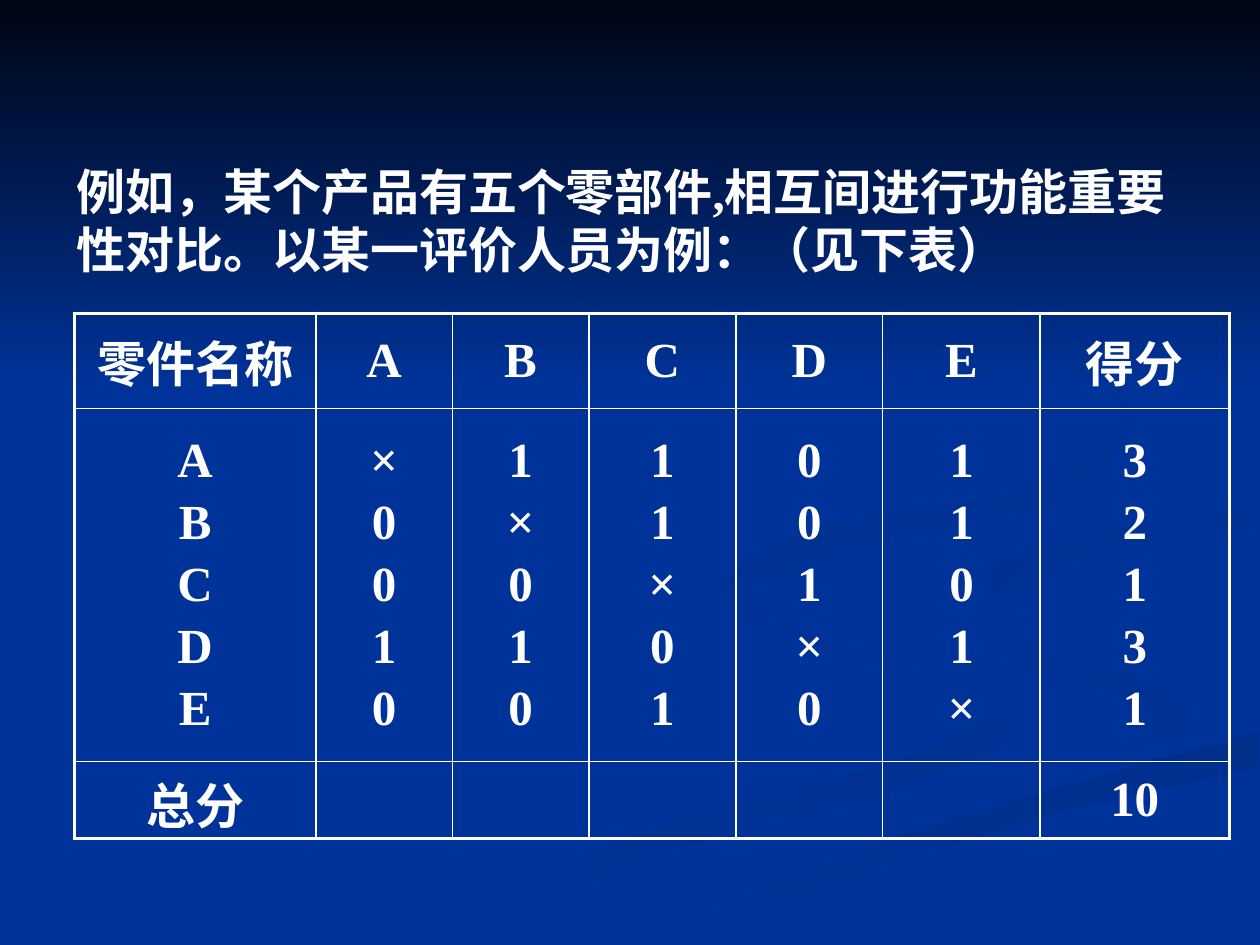
from lxml.etree import SubElement
from pptx import Presentation
from pptx.dml.color import RGBColor
from pptx.enum.shapes import MSO_SHAPE
from pptx.enum.text import MSO_ANCHOR, PP_ALIGN
from pptx.oxml.ns import qn
from pptx.util import Pt

COLORS = {
    "background": "003399",
    "night": "000514",
    "text": "FFFFFF",
    "border": "FFFFFF",
    "lower_band": "003193",
    "right_band": "002F8C",
    "short_band": "003091",
    "upper_band": "002F8E",
}
FONT = "Times New Roman"
OUTER, INNER = 2.25, 1

INTRO = "例如，某个产品有五个零部件,相互间进行功能重要性对比。以某一评价人员为例：（见下表）"
PARTS = "ABCDE"
SCORES = ["×1101", "0×101", "00×10", "110×1", "0010×"]
TOTALS = "32131"
COLUMN_WIDTHS = [138, 78, 78, 84, 84, 90, 108]
ROW_HEIGHTS = [54, 202, 44]

# Ribbons: two edges running the same way, first colour, last colour, angle
RIBBONS = [
    ([(414, 330), (442, 357), (526, 384), (576, 418), (519, 449), (406, 479), (260, 539)],
     [(410, 337), (440, 359), (524, 385), (566, 408), (492, 441), (388, 467), (216, 539)],
     "background", "lower_band", 0),
    ([(521, 334), (546, 359), (612, 377), (662, 394), (679, 410), (644, 436)],
     [(521, 334), (544, 364), (603, 386), (653, 405), (658, 424), (644, 436)],
     "background", "lower_band", 45),
    ([(362, 539), (454, 499), (550, 466), (719, 418)],
     [(411, 539), (500, 498), (591, 469), (719, 438)],
     "right_band", "background", 90),
    ([(719, 289), (601, 310), (562, 333), (595, 357)],
     [(719, 302), (632, 316), (580, 340), (595, 357)],
     "short_band", "background", 45),
    ([(549, 168), (622, 210), (644, 248), (594, 289), (492, 310), (427, 338), (448, 360)],
     [(549, 168), (616, 205), (640, 241), (589, 278), (467, 302), (415, 333), (448, 360)],
     "upper_band", "background", 45),
]


def rgb(name):
    return RGBColor.from_string(COLORS[name])


def smooth(edge, steps=5):
    """Catmull-Rom curve through the points of one ribbon edge."""
    padded = [edge[0], *edge, edge[-1]]
    curve = []
    for a, b, c, d in zip(padded, padded[1:], padded[2:], padded[3:]):
        for step in range(steps):
            t = step / steps
            curve.append(tuple(
                q + t * (r - p + t * (2 * p - 5 * q + 4 * r - s
                                      + t * (3 * q - p - 3 * r + s))) / 2
                for p, q, r, s in zip(a, b, c, d)))
    return curve + [edge[-1]]


def shade(shape, first, last, angle):
    shape.shadow.inherit = False
    shape.line.fill.background()
    shape.fill.gradient()
    shape.fill.gradient_angle = -angle % 360
    for stop, name in zip(shape.fill.gradient_stops, (first, last)):
        stop.color.rgb = rgb(name)


def add_ribbon(slide, upper, lower, first, last, angle):
    outline = smooth(upper) + smooth(lower)[::-1]
    builder = slide.shapes.build_freeform(*outline[0], scale=Pt(1))
    builder.add_line_segments(outline[1:], close=True)
    shade(builder.convert_to_shape(), first, last, angle)


def write_text(frame, text, align=PP_ALIGN.LEFT, size=28, gap=0):
    frame.word_wrap = True
    for index, line in enumerate(text.split("\n")):
        paragraph = frame.paragraphs[0] if index == 0 else frame.add_paragraph()
        paragraph.alignment = align
        if index:
            paragraph.space_before = Pt(gap)
        run = paragraph.add_run()
        run.text = line
        run.font.name = FONT
        run.font.size = Pt(size)
        run.font.bold = True
        run.font.color.rgb = rgb("text")


def set_borders(cell, widths):
    properties = cell._tc.get_or_add_tcPr()
    for side, width in widths.items():
        line = SubElement(properties, qn(f"a:ln{side}"), w=str(Pt(width)))
        fill = SubElement(line, qn("a:solidFill"))
        SubElement(fill, qn("a:srgbClr"), val=COLORS["border"])


def add_score_table(slide, rows, left, top):
    row_count, column_count = len(rows), len(COLUMN_WIDTHS)
    table = slide.shapes.add_table(
        row_count, column_count, Pt(left), Pt(top),
        Pt(sum(COLUMN_WIDTHS)), Pt(sum(ROW_HEIGHTS))).table
    table.first_row = table.horz_banding = False
    for column, width in zip(table.columns, COLUMN_WIDTHS):
        column.width = Pt(width)
    for row, height in zip(table.rows, ROW_HEIGHTS):
        row.height = Pt(height)
    for r, texts in enumerate(rows):
        for c, text in enumerate(texts):
            cell = table.cell(r, c)
            set_borders(cell, {
                "L": OUTER if c == 0 else INNER,
                "R": OUTER if c == column_count - 1 else INNER,
                "T": OUTER if r == 0 else INNER,
                "B": OUTER if r == row_count - 1 else INNER,
            })
            cell.fill.background()
            cell.vertical_anchor = MSO_ANCHOR.MIDDLE
            if text:
                write_text(cell.text_frame, text, align=PP_ALIGN.CENTER, gap=4.4)


def main():
    deck = Presentation()
    deck.slide_width, deck.slide_height = Pt(720), Pt(540)
    slide = deck.slides.add_slide(deck.slide_layouts[6])

    # Background with ribbons under a night sky
    slide.background.fill.solid()
    slide.background.fill.fore_color.rgb = rgb("background")
    for ribbon in RIBBONS:
        add_ribbon(slide, *ribbon)
    sky = slide.shapes.add_shape(MSO_SHAPE.RECTANGLE, 0, 0, Pt(720), Pt(222))
    shade(sky, "night", "background", 90)

    # Introduction
    intro = slide.shapes.add_textbox(Pt(36.7), Pt(88.5), Pt(646.5), Pt(74))
    write_text(intro.text_frame, INTRO)

    # Comparison scores: each column of marks shares one cell
    marks = ["\n".join(column) for column in zip(*SCORES)]
    rows = [
        ["零件名称", *PARTS, "得分"],
        ["\n".join(PARTS), *marks, "\n".join(TOTALS)],
        ["总分", *[""] * len(PARTS), "10"],
    ]
    add_score_table(slide, rows, left=42.5, top=179.3)

    deck.save("out.pptx")


if __name__ == "__main__":
    main()
